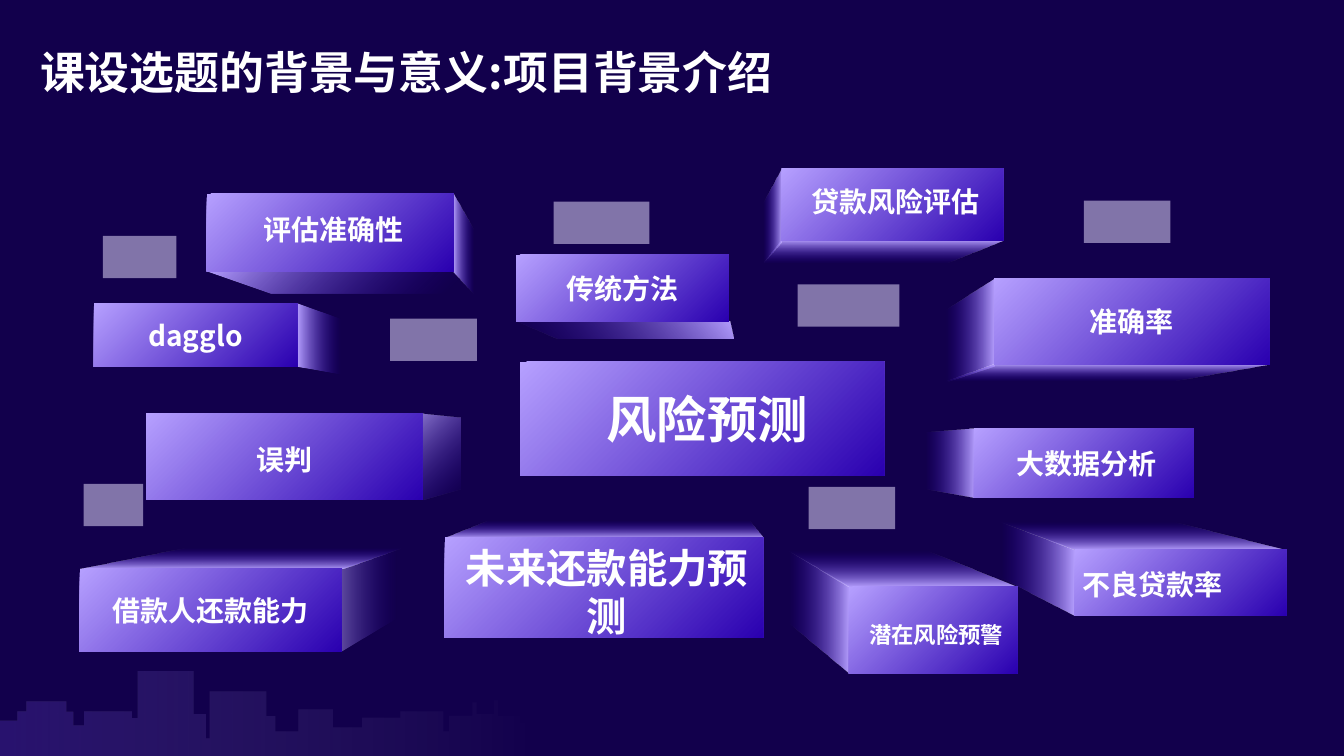
from collections import namedtuple

from pptx import Presentation
from pptx.dml.color import RGBColor
from pptx.enum.shapes import MSO_SHAPE
from pptx.enum.text import MSO_ANCHOR, PP_ALIGN
from pptx.oxml import parse_xml
from pptx.oxml.ns import nsdecls, qn
from pptx.util import Inches, Pt

FONT = "Noto Sans CJK SC"
NAVY = RGBColor(0x12, 0x00, 0x4C)
WHITE = RGBColor(0xFF, 0xFF, 0xFF)
LILAC = RGBColor(0xB6, 0xA0, 0xFF)
INDIGO = RGBColor(0x2A, 0x00, 0xB0)
MIST = RGBColor(0xE7, 0xDF, 0xFF)
PALE = RGBColor(0xF9, 0xF7, 0xFF)
VIOLET = RGBColor(0x86, 0x60, 0xFF)

# Visible side of a block: the corners it joins, and its fading gradient
Side = namedtuple("Side", "corners angle opacity end", defaults=[100, 100])
TOP = Side((0, 1), 270)
RIGHT = Side((1, 2), 0)
BOTTOM = Side((2, 3), 90)
LEFT = Side((3, 0), 180)

# Front and back are left, top, width, height; shift moves the label
Block = namedtuple("Block", "label front back sides size shift",
                   defaults=[None, (), 20, (0, 0)])
BLOCKS = [
    Block("传统方法", (5.12, 2.53, 2.11, 0.66), (5.53, 2.7, 1.74, 0.66),
          [BOTTOM._replace(angle=140)]),
    Block("风险预测", (5.16, 3.59, 3.61, 1.13), size=36, shift=(0.05, 0)),
    Block("dagglo", (0.93, 3.01, 2.02, 0.63), (1.49, 3.21, 2.02, 0.53),
          [RIGHT._replace(end=77)]),
    Block("借款人还款能力", (0.79, 5.64, 2.6, 0.82), (1.83, 5.44, 2.14, 0.67),
          [RIGHT._replace(opacity=46, end=93), TOP]),
    Block("误判", (1.45, 4.1, 2.74, 0.86), (1.83, 4.14, 2.74, 0.71),
          [RIGHT._replace(angle=45, opacity=70)], shift=(0, 0.03)),
    Block("评估准确性", (2.05, 1.92, 2.45, 0.77), (2.69, 2.28, 2.01, 0.63),
          [BOTTOM._replace(angle=45, end=90), RIGHT], shift=(0.03, -0.03)),
    Block("未来还款能力预测", (4.41, 5.33, 3.16, 1), (4.83, 5.17, 2.6, 1),
          [TOP], 28.8, (0.03, 0.04)),
    Block("大数据分析", (9.66, 4.25, 2.18, 0.69), (9.18, 4.29, 2.18, 0.56),
          [LEFT], shift=(0.03, 0)),
    Block("准确率", (9.86, 2.76, 2.73, 0.86), (9.39, 3.07, 2.24, 0.71),
          [LEFT, BOTTOM]),
    Block("不良贷款率", (10.66, 5.45, 2.1, 0.66), (9.93, 5.18, 1.73, 0.55),
          [LEFT, TOP], shift=(-0.28, 0.02)),
    Block("潜在风险预警", (8.42, 5.82, 1.67, 0.86), (7.83, 5.47, 1.38, 0.71),
          [LEFT, TOP], 16, (0.03, 0.05)),
    Block("贷款风险评估", (7.75, 1.67, 2.2, 0.72), (7.57, 2.01, 1.81, 0.59),
          [BOTTOM, LEFT], shift=(0.03, -0.03)),
]

TILE_HEIGHT = 0.42
TILES = [  # left, top, width
    (7.91, 2.82, 1.01), (5.49, 2, 0.95), (3.87, 3.16, 0.86), (8.02, 4.83, 0.86),
    (10.75, 1.99, 0.86), (1.02, 2.34, 0.73), (0.83, 4.8, 0.59),
]

GROUND = 7.5
# Each roof starts at x with height y and runs level to the next one
ROOFS = [
    (0, 7.15), (0.18, 7.06), (0.27, 6.96), (0.66, 7.06), (0.73, 7.19),
    (0.84, 7.06), (1.31, 7.12), (1.37, 6.66), (1.92, 7.08), (2.04, 7.32),
    (2.08, 6.86), (2.64, 7.1), (2.73, 7.25), (2.96, 7.04), (3.3, 7.21),
    (3.59, 7.12), (3.97, 7.06), (4.39, 7.25), (4.45, 7.1), (4.68, 6.97),
    (4.72, 7.08), (4.89, 6.95), (4.93, 7.1), (5.15, 7.17), (5.32, 7.24),
]
SKYLINE_END = 5.46


def strip_outline(sp):
    sp.line.fill.background()
    sp.shadow.inherit = False


def fill_gradient(sp, start, end, angle, start_opacity=100, end_opacity=0, end_pos=100):
    """Linear gradient with opacity in percent; the angle runs clockwise."""
    stops = [(0, start, start_opacity), (end_pos, end, end_opacity)]
    stops_xml = "".join(
        f'<a:gs pos="{pos * 1000}"><a:srgbClr val="{color}">'
        f'<a:alpha val="{opacity * 1000}"/></a:srgbClr></a:gs>'
        for pos, color, opacity in stops)
    sp.fill.gradient()
    spPr = sp._element.spPr
    spPr.replace(spPr.find(qn("a:gradFill")), parse_xml(
        f'<a:gradFill {nsdecls("a")} rotWithShape="1"><a:gsLst>{stops_xml}</a:gsLst>'
        f'<a:lin ang="{angle * 60000}" scaled="0"/></a:gradFill>'))


def add_rect(s, box):
    sp = s.shapes.add_shape(MSO_SHAPE.RECTANGLE, *map(Inches, box))
    strip_outline(sp)
    return sp


def add_polygon(s, points):
    start, *rest = [(Inches(x), Inches(y)) for x, y in points]
    builder = s.shapes.build_freeform(*start)
    builder.add_line_segments(rest, close=True)
    sp = builder.convert_to_shape()
    strip_outline(sp)
    return sp


def add_skyline(s):
    ends = [x for x, _ in ROOFS[1:]] + [SKYLINE_END]
    outline = [(0, GROUND)]
    for (left, top), right in zip(ROOFS, ends):
        outline += [(left, top), (right, top)]
    outline.append((SKYLINE_END, GROUND))
    fill_gradient(add_polygon(s, outline), PALE, VIOLET, 180, 0, 20)


def corners(box):
    """Corners clockwise from the top left."""
    x, y, w, h = box
    return [(x, y), (x + w, y), (x + w, y + h), (x, y + h)]


def add_block(s, block):
    for side in block.sides:
        a, b = side.corners
        front, back = corners(block.front), corners(block.back)
        sp = add_polygon(s, [front[a], back[a], back[b], front[b]])
        fill_gradient(sp, LILAC, INDIGO, side.angle, side.opacity, end_pos=side.end)
    fill_gradient(add_rect(s, block.front), LILAC, INDIGO, 45, end_opacity=100)


def add_tile(s, left, top, width):
    sp = add_rect(s, (left, top, width, TILE_HEIGHT))
    sp.fill.solid()
    sp.fill.fore_color.rgb = MIST
    color = sp._element.spPr.find(qn("a:solidFill"))[0]
    color.append(parse_xml(f'<a:alpha {nsdecls("a")} val="52000"/>'))


def add_label(s, text, box, size, align=PP_ALIGN.CENTER):
    tf = s.shapes.add_textbox(*map(Inches, box)).text_frame
    tf.word_wrap = True
    tf.vertical_anchor = MSO_ANCHOR.MIDDLE
    p = tf.paragraphs[0]
    p.text = text
    p.alignment = align
    r = p.runs[0]
    r.font.name, r.font.size, r.font.bold = FONT, Pt(size), True
    r.font.color.rgb = WHITE
    rPr = r._r.get_or_add_rPr()
    rPr.append(parse_xml(f'<a:ea {nsdecls("a")} typeface="{FONT}"/>'))
    return p


def main():
    prs = Presentation()
    prs.slide_width, prs.slide_height = Inches(13.33), Inches(7.5)
    s = prs.slides.add_slide(prs.slide_layouts[6])
    s.background.fill.solid()
    s.background.fill.fore_color.rgb = NAVY

    add_skyline(s)
    for block in BLOCKS:
        add_block(s, block)
    for tile in TILES:
        add_tile(s, *tile)
    title = add_label(s, "课设选题的背景与意义:项目背景介绍",
                      (0.3, 0.26, 12.76, 0.79), 32, PP_ALIGN.LEFT)
    title.line_spacing = 1.2
    for block in BLOCKS:
        x, y, w, h = block.front
        dx, dy = block.shift
        add_label(s, block.label, (x + dx, y + dy, w, h), block.size)
    prs.save("out.pptx")


if __name__ == "__main__":
    main()
